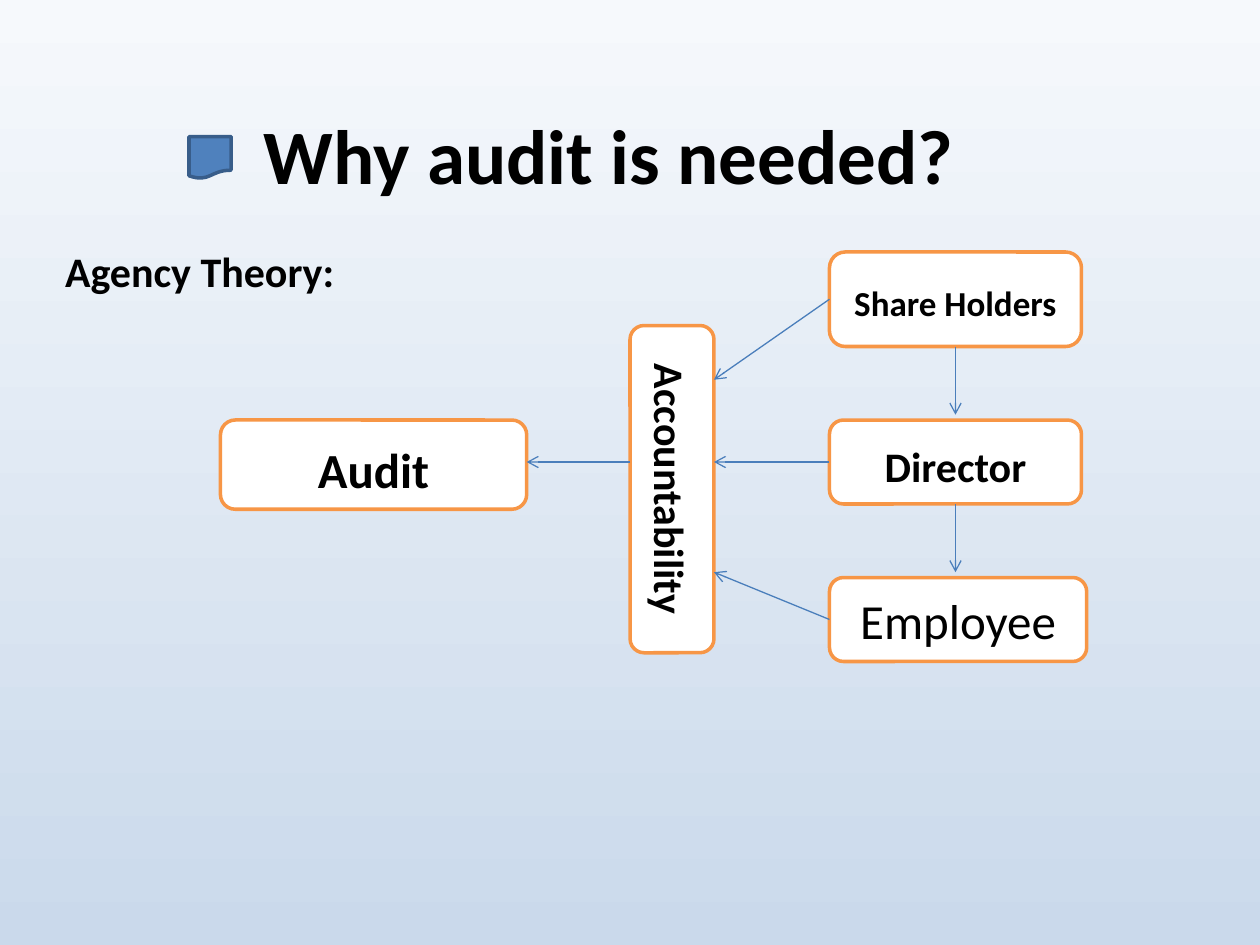
from lxml import etree
from pptx import Presentation
from pptx.dml.color import RGBColor
from pptx.enum.shapes import MSO_CONNECTOR, MSO_SHAPE
from pptx.enum.text import MSO_ANCHOR, MSO_AUTO_SIZE, PP_ALIGN
from pptx.oxml.ns import qn
from pptx.util import Pt

ROUNDED = MSO_SHAPE.ROUNDED_RECTANGLE
DOCUMENT = MSO_SHAPE.FLOWCHART_DOCUMENT
STRAIGHT = MSO_CONNECTOR.STRAIGHT
TOP, MIDDLE = MSO_ANCHOR.TOP, MSO_ANCHOR.MIDDLE
LEFT, CENTER = PP_ALIGN.LEFT, PP_ALIGN.CENTER
NO_AUTOFIT = MSO_AUTO_SIZE.NONE
FONT = "Calibri"
INK, WHITE, ORANGE, ARROW_BLUE = "000000", "FFFFFF", "F79646", "4A7EBB"


def color(hex_value):
    """Return the colour for a hex string."""
    return RGBColor.from_string(hex_value)


def write(frame, text, size, bold=True, align=CENTER, anchor=MIDDLE):
    """Put one formatted paragraph in a text frame and return it."""
    frame.text = text
    frame.word_wrap = True
    frame.auto_size = NO_AUTOFIT
    frame.vertical_anchor = anchor
    paragraph = frame.paragraphs[0]
    paragraph.alignment = align
    font = paragraph.runs[0].font
    font.name, font.size, font.bold = FONT, Pt(size), bold
    font.color.rgb = color(INK)
    return paragraph


def move(placeholder, box):
    """Move a placeholder to a box of left, top, width and height."""
    left, top, width, height = map(Pt, box)
    placeholder.left, placeholder.top = left, top
    placeholder.width, placeholder.height = width, height


def draw_shape(slide, preset, box, fill, outline):
    """Add a flat filled shape with a 2 point outline."""
    shape = slide.shapes.add_shape(preset, *map(Pt, box))
    shape.shadow.inherit = False
    shape.fill.solid()
    shape.fill.fore_color.rgb = color(fill)
    shape.line.color.rgb = color(outline)
    shape.line.width = Pt(2)
    return shape


def draw_role(slide, box, label, size, bold=True, spacing=1.15, after=10, anchor=MIDDLE):
    """Add a rounded white box with its label."""
    role = draw_shape(slide, ROUNDED, box, WHITE, ORANGE)
    paragraph = write(role.text_frame, label, size, bold, anchor=anchor)
    paragraph.line_spacing = spacing
    paragraph.space_after = Pt(after)
    return role


def draw_arrow(slide, start, end):
    """Add a thin blue arrow from start to end."""
    arrow = slide.shapes.add_connector(STRAIGHT, *map(Pt, start + end))
    arrow.line.color.rgb = color(ARROW_BLUE)
    arrow.line.width = Pt(0.75)
    etree.SubElement(arrow.line._get_or_add_ln(), qn("a:tailEnd"), type="arrow")
    etree.SubElement(arrow._element.spPr, qn("a:effectLst"))


def paint_background(slide):
    """Fill the slide with a pale vertical gradient."""
    fill = slide.background.fill
    fill.gradient()
    fill.gradient_angle = 270
    for stop, shade, position in zip(fill.gradient_stops, ("F6F9FC", "CAD9EB"), (0, 1)):
        stop.color.rgb = color(shade)
        stop.position = position


def build_heading(slide, box):
    """Place the title and the document icon beside it."""
    left, top = box[:2]
    move(slide.shapes.title, box)
    write(slide.shapes.title.text_frame, "Why audit is needed?", 44)
    draw_shape(slide, DOCUMENT, (left + 66, top + 48, 24, 24), "4F81BD", "385D8A")


def build_theory(slide, box):
    """Place the theory heading in the subtitle placeholder."""
    theory = slide.placeholders[1]
    move(theory, box)
    paragraph = write(theory.text_frame, "Agency Theory:", 24, align=LEFT, anchor=TOP)
    paragraph.space_before = Pt(0)
    theory.text_frame.margin_top = Pt(20)


def build_diagram(slide, box):
    """Place the chain of roles, the accountability bar and the audit box."""
    left, top, width, height = box
    role_left = left + 348
    role_middle = role_left + 72
    director_top, employee_top = top + 96, top + 186
    flow = top + 120
    bar_left, bar_right = left + 234, left + 282
    bar_length, bar_width = 187, 48
    bar_center = top + 135.5

    draw_role(slide, (role_left, top, 144, 54), "Share Holders", 20)
    draw_role(slide, (role_left, director_top, 144, 48), "Director", 24)
    draw_role(slide, (role_left, employee_top, left + width - role_left, height - 186),
              "Employee", 28, bold=False, spacing=1, after=0)
    draw_role(slide, (left, director_top, 175, 51), "Audit", 28)
    bar_box = ((bar_left + bar_right - bar_length) / 2, bar_center - bar_width / 2,
               bar_length, bar_width)
    bar = draw_role(slide, bar_box, "Accountability", 24, anchor=TOP)
    bar.rotation = 90

    for role_bottom in (top + 54, director_top + 48):
        draw_arrow(slide, (role_middle, role_bottom), (role_middle, role_bottom + 39))
    for start, end in ((27, 73), (120, 120), (210, 183)):
        draw_arrow(slide, (role_left, top + start), (bar_right, top + end))
    draw_arrow(slide, (bar_left, flow), (left + 175, flow))


def main():
    """Build and save the slide."""
    deck = Presentation()
    deck.slide_width, deck.slide_height = Pt(720), Pt(540)
    slide = deck.slides.add_slide(deck.slide_layouts[0])
    paint_background(slide)
    build_heading(slide, (42, 30, 612, 116))
    build_theory(slide, (30, 120, 648, 390))
    build_diagram(slide, (126, 144, 495, 234))
    deck.save("out.pptx")


if __name__ == "__main__":
    main()
